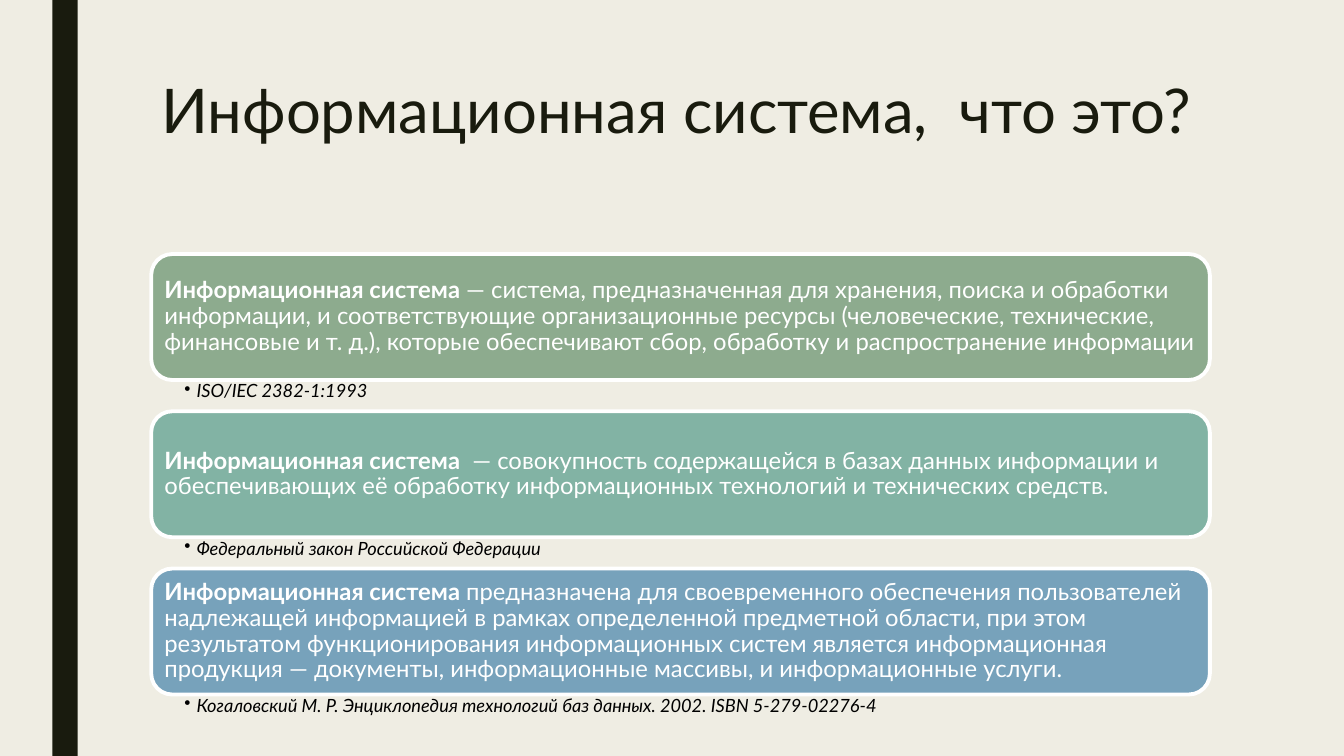
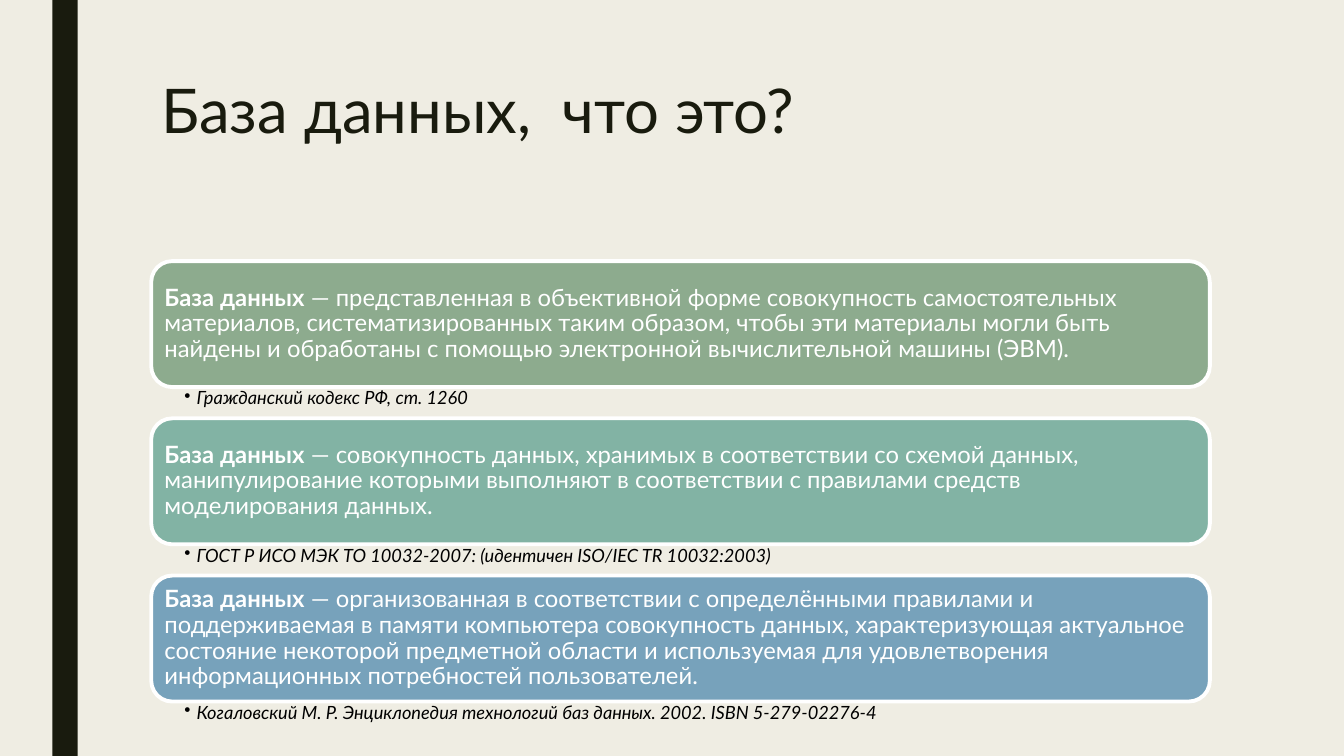
from dataclasses import dataclass

from lxml import etree
from pptx import Presentation
from pptx.dml.color import RGBColor
from pptx.enum import shapes, text
from pptx.oxml.ns import qn
from pptx.util import Inches, Pt

COLORS = {
    "background": "EFEDE3",
    "dark": "191B0E",
    "white": "FFFFFF",
    "black": "000000",
}
CARD_FILLS = ["8DAB8E", "82B3A4", "77A2BB"]
FONT = "Lato"

# Shared grid, in inches
LEFT, WIDTH = 1.5, 10.5
CARD_H, SOURCE_H = 1.25, 0.31


@dataclass
class Definition:
    term: str
    meaning: str
    source: str


@dataclass
class Topic:
    title: str
    top: float
    definitions: list[Definition]


ENCYCLOPEDIA = "Когаловский М. Р. Энциклопедия технологий баз данных. 2002. ISBN 5-279-02276-4"

TOPICS = [
    Topic("Информационная система,  что это?", 2.52, [
        Definition(
            "Информационная система ",
            "— система, предназначенная для хранения, поиска и обработки информации, "
            "и соответствующие организационные ресурсы (человеческие, технические, "
            "финансовые и т. д.), которые обеспечивают сбор, обработку и "
            "распространение информации",
            "ISO/IEC 2382-1:1993"),
        Definition(
            "Информационная система ",
            " — совокупность содержащейся в базах данных информации и "
            "обеспечивающих её обработку информационных технологий и технических средств.",
            "Федеральный закон Российской Федерации"),
        Definition(
            "Информационная система ",
            "предназначена для своевременного обеспечения пользователей надлежащей "
            "информацией в рамках определенной предметной области, при этом результатом "
            "функционирования информационных систем является информационная продукция — "
            "документы, информационные массивы, и информационные услуги.",
            ENCYCLOPEDIA),
    ]),
    Topic("База данных,  что это?", 2.59, [
        Definition(
            "База данных",
            " — представленная в объективной форме совокупность самостоятельных "
            "материалов, систематизированных таким образом, чтобы эти материалы могли быть "
            "найдены и обработаны с помощью электронной вычислительной машины (ЭВМ).",
            "Гражданский кодекс РФ, ст. 1260"),
        Definition(
            "База данных",
            " — совокупность данных, хранимых в соответствии со схемой данных, "
            "манипулирование которыми выполняют в соответствии с правилами средств "
            "моделирования данных.",
            "ГОСТ Р ИСО МЭК ТО 10032-2007: (идентичен ISO/IEC TR 10032:2003)"),
        Definition(
            "База данных",
            " — организованная в соответствии с определёнными правилами и поддерживаемая "
            "в памяти компьютера совокупность данных, характеризующая актуальное состояние "
            "некоторой предметной области и используемая для удовлетворения "
            "информационных потребностей пользователей.",
            ENCYCLOPEDIA),
    ]),
]


def rgb(value: str) -> RGBColor:
    return RGBColor.from_string(value)


def style(p, size: float, color: str, spacing: float = 0.9) -> None:
    p.alignment = text.PP_ALIGN.LEFT
    p.line_spacing = spacing
    p.font.name = FONT
    p.font.size = Pt(size)
    p.font.color.rgb = rgb(color)


def set_margins(tf, left: float, top: float, right: float, bottom: float) -> None:
    tf.margin_left, tf.margin_top = Inches(left), Inches(top)
    tf.margin_right, tf.margin_bottom = Inches(right), Inches(bottom)


def add_box(slide, kind, x: float, y: float, w: float, h: float, fill: str):
    sp = slide.shapes.add_shape(kind, Inches(x), Inches(y), Inches(w), Inches(h))
    sp.shadow.inherit = False
    sp.fill.solid()
    sp.fill.fore_color.rgb = rgb(fill)
    sp.line.fill.background()
    return sp


def add_title(slide, title: str) -> None:
    sp = slide.shapes.title
    sp.left, sp.top = Inches(LEFT), Inches(0.75)
    sp.width, sp.height = Inches(WIDTH), Inches(1.62)
    tf = sp.text_frame
    tf.text = title
    tf.auto_size = text.MSO_AUTO_SIZE.NONE
    tf.vertical_anchor = text.MSO_ANCHOR.TOP
    style(tf.paragraphs[0], 44, COLORS["dark"], 0.89)


def add_card(slide, definition: Definition, y: float, fill: str) -> None:
    sp = add_box(slide, shapes.MSO_SHAPE.ROUNDED_RECTANGLE, LEFT, y, WIDTH, CARD_H, fill)
    sp.line.color.rgb = rgb(COLORS["white"])
    sp.line.width = Pt(2.75)
    tf = sp.text_frame
    tf.word_wrap = True
    tf.vertical_anchor = text.MSO_ANCHOR.MIDDLE
    set_margins(tf, 0.07, 0.07, 0.07, 0.07)
    p = tf.paragraphs[0]
    style(p, 17, COLORS["white"])
    for content, bold in ((definition.term, True), (definition.meaning, False)):
        r = p.add_run()
        r.text = content
        r.font.bold = bold


def add_source(slide, source: str, y: float) -> None:
    sp = slide.shapes.add_textbox(Inches(LEFT), Inches(y), Inches(WIDTH), Inches(SOURCE_H))
    tf = sp.text_frame
    tf.word_wrap = True
    set_margins(tf, 0.33, 0.02, 0.13, 0.02)
    p = tf.paragraphs[0]
    p.text = source
    style(p, 13, COLORS["black"])
    p.font.italic = True
    # Hanging bullet, placed before the default run properties
    pPr = p._p.get_or_add_pPr()
    pPr.set("marL", str(Inches(0.12)))
    pPr.set("indent", str(-Inches(0.12)))
    bullet = etree.Element(qn("a:buChar"), char="•")
    pPr.find(qn("a:defRPr")).addprevious(bullet)


def add_topic(prs, topic: Topic) -> None:
    slide = prs.slides.add_slide(prs.slide_layouts.get_by_name("Title Only"))
    add_box(slide, shapes.MSO_SHAPE.RECTANGLE, 0.52, 0, 0.25, 7.5, COLORS["dark"])
    add_title(slide, topic.title)
    for i, (definition, fill) in enumerate(zip(topic.definitions, CARD_FILLS)):
        y = topic.top + i * (CARD_H + SOURCE_H)
        add_card(slide, definition, y, fill)
        add_source(slide, definition.source, y + CARD_H)


def main() -> None:
    prs = Presentation()
    prs.slide_width, prs.slide_height = Inches(13.33), Inches(7.5)
    # Background shared by every slide
    background = prs.slide_master.background.fill
    background.solid()
    background.fore_color.rgb = rgb(COLORS["background"])
    for topic in TOPICS:
        add_topic(prs, topic)
    prs.save("out.pptx")


if __name__ == "__main__":
    main()
